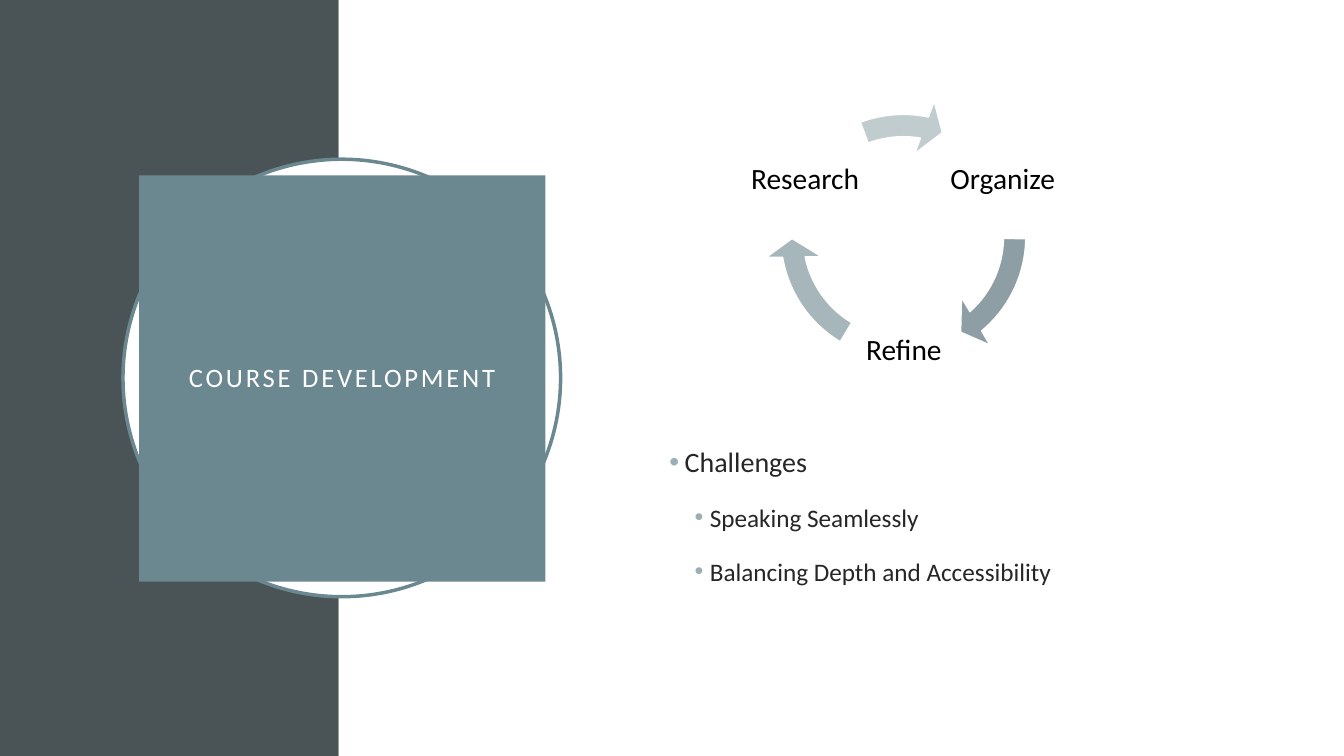
from lxml import etree
from pptx import Presentation
from pptx.dml.color import RGBColor
from pptx.enum.shapes import MSO_SHAPE
from pptx.enum.text import MSO_ANCHOR, MSO_AUTO_SIZE, PP_ALIGN
from pptx.oxml.ns import qn
from pptx.util import Inches, Pt

RECT, OVAL, ARROW = MSO_SHAPE.RECTANGLE, MSO_SHAPE.OVAL, MSO_SHAPE.CIRCULAR_ARROW
MIDDLE, CENTER, NO_FIT = MSO_ANCHOR.MIDDLE, PP_ALIGN.CENTER, MSO_AUTO_SIZE.NONE

TITLE = "COURSE DEVELOPMENT"
COLORS = {
    "band": "4A5356", "teal": "6B8891", "white": "FFFFFF", "black": "000000",
    "body": "262626", "bullet": "9BAFB5",
    "dark": "8D9FA4", "mid": "A7B6BA", "light": "C1CCCF",
}
BACKDROP = [
    (RECT, (0, 0, 3.36, 7.5), "band", None, 0),
    (RECT, (3.36, 0, 9.98, 7.5), "white", None, 0),
    (OVAL, (1.22, 1.58, 4.34, 4.34), "white", "teal", 2.5),
]
TITLE_BOX = (1.38, 1.74, 4.03, 4.03)
BODY_BOX = (6.54, 4.14, 5.82, 1.78)
CYCLE_BOX = (7.58, 0.97, 2.76, 2.76)
LABEL_SIZE = 1.17
CYCLE = [
    ("Organize", 9.36, 1.2, "dark", 0.88, 49.38),
    ("Refine", 8.38, 2.9, "mid", 121.02, 169.52),
    ("Research", 7.4, 1.2, "light", 249.47, 280.93),
]
HEAD_ANGLE, BAND_WIDTH, HEAD_WIDTH = 9.61, 0.08, 0.1
ANGLE_UNIT = 0.6
BULLETS = [
    ("Challenges", 0, 20),
    ("Speaking Seamlessly", 1, 18),
    ("Balancing Depth and Accessibility", 1, 18),
]


def rgb(name):
    return RGBColor.from_string(COLORS[name])


def place(s, box):
    s.left, s.top, s.width, s.height = map(Inches, box)


def add_shape(shapes, kind, box, fill, line=None, width=0):
    s = shapes.add_shape(kind, *map(Inches, box))
    s.shadow.inherit = False
    s.fill.solid()
    s.fill.fore_color.rgb = rgb(fill)
    if line:
        s.line.color.rgb = rgb(line)
        s.line.width = Pt(width)
    else:
        s.line.fill.background()
    return s


def set_frame(s, inset=None):
    tf = s.text_frame
    frame = {"word_wrap": True, "auto_size": NO_FIT, "vertical_anchor": MIDDLE}
    if inset is not None:
        for side in ("left", "right", "top", "bottom"):
            frame["margin_" + side] = Inches(inset)
    for key, value in frame.items():
        setattr(tf, key, value)
    return tf


def write(p, text, size, color, **paragraph):
    for key, value in paragraph.items():
        setattr(p, key, value)
    r = p.add_run()
    r.text = text
    for key, value in {"name": "Calibri", "size": Pt(size), "bold": False}.items():
        setattr(r.font, key, value)
    r.font.color.rgb = rgb(color)
    return r


def add_bullet(p, left):
    pPr = p._p.get_or_add_pPr()
    pPr.set("marL", str(Inches(left)))
    pPr.set("indent", str(Inches(-0.15)))
    buClr = etree.SubElement(pPr, qn("a:buClr"))
    etree.SubElement(buClr, qn("a:srgbClr"), val=COLORS["bullet"])
    etree.SubElement(pPr, qn("a:buFont"), typeface="Arial")
    etree.SubElement(pPr, qn("a:buChar"), char="•")


def main():
    prs = Presentation()
    prs.slide_width, prs.slide_height = Inches(13.33), Inches(7.5)
    slide = prs.slides.add_slide(prs.slide_layouts[1])
    shapes = slide.shapes
    title, body = shapes.title, slide.placeholders[1]

    for item in BACKDROP:
        add_shape(shapes, *item)

    place(title, TITLE_BOX)
    title.fill.solid()
    title.fill.fore_color.rgb = rgb("teal")
    tf = set_frame(title, 0.2)
    r = write(tf.paragraphs[0], TITLE, 19, "white", alignment=CENTER, line_spacing=0.9)
    r.font._element.set("spc", "200")
    shapes._spTree.append(title._element)

    cycle = shapes.add_group_shape().shapes
    for text, x, y, fill, start, end in CYCLE:
        box = (x, y, LABEL_SIZE, LABEL_SIZE)
        tf = set_frame(cycle.add_textbox(*map(Inches, box)), 0.03)
        write(tf.paragraphs[0], text, 21, "black", alignment=CENTER, line_spacing=0.9)
        s = add_shape(cycle, ARROW, CYCLE_BOX, fill, "white", 1)
        angles = [a * ANGLE_UNIT for a in (HEAD_ANGLE, end, start)]
        for i, value in enumerate([BAND_WIDTH, *angles, HEAD_WIDTH]):
            s.adjustments[i] = value

    place(body, BODY_BOX)
    tf = set_frame(body)
    for i, (text, level, size) in enumerate(BULLETS):
        p = tf.add_paragraph() if i else tf.paragraphs[0]
        write(p, text, size, "body", level=level, line_spacing=1.5, space_before=Pt(6.1))
        add_bullet(p, 0.15 + 0.25 * level)
    shapes._spTree.append(body._element)

    prs.save("out.pptx")


if __name__ == "__main__":
    main()
